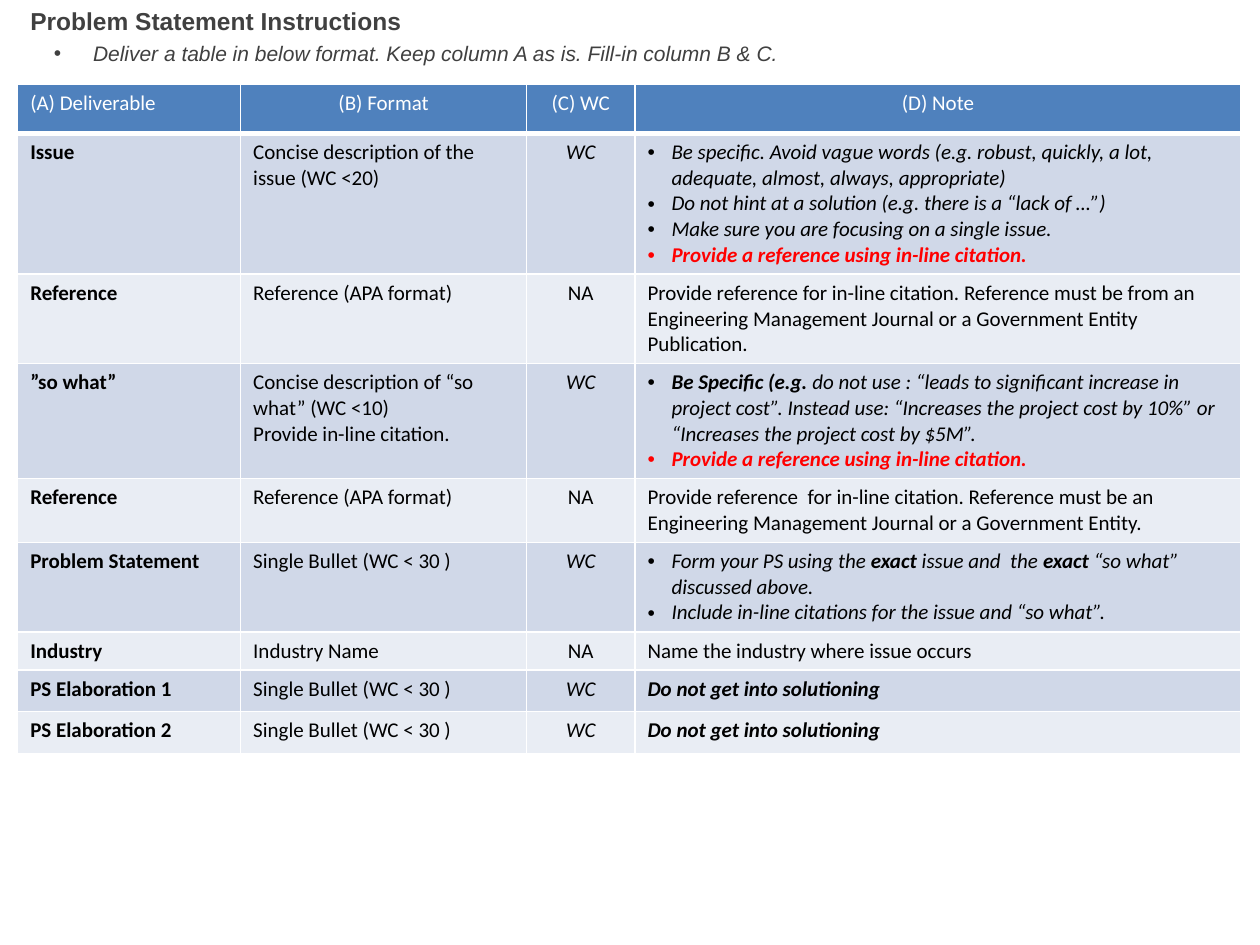
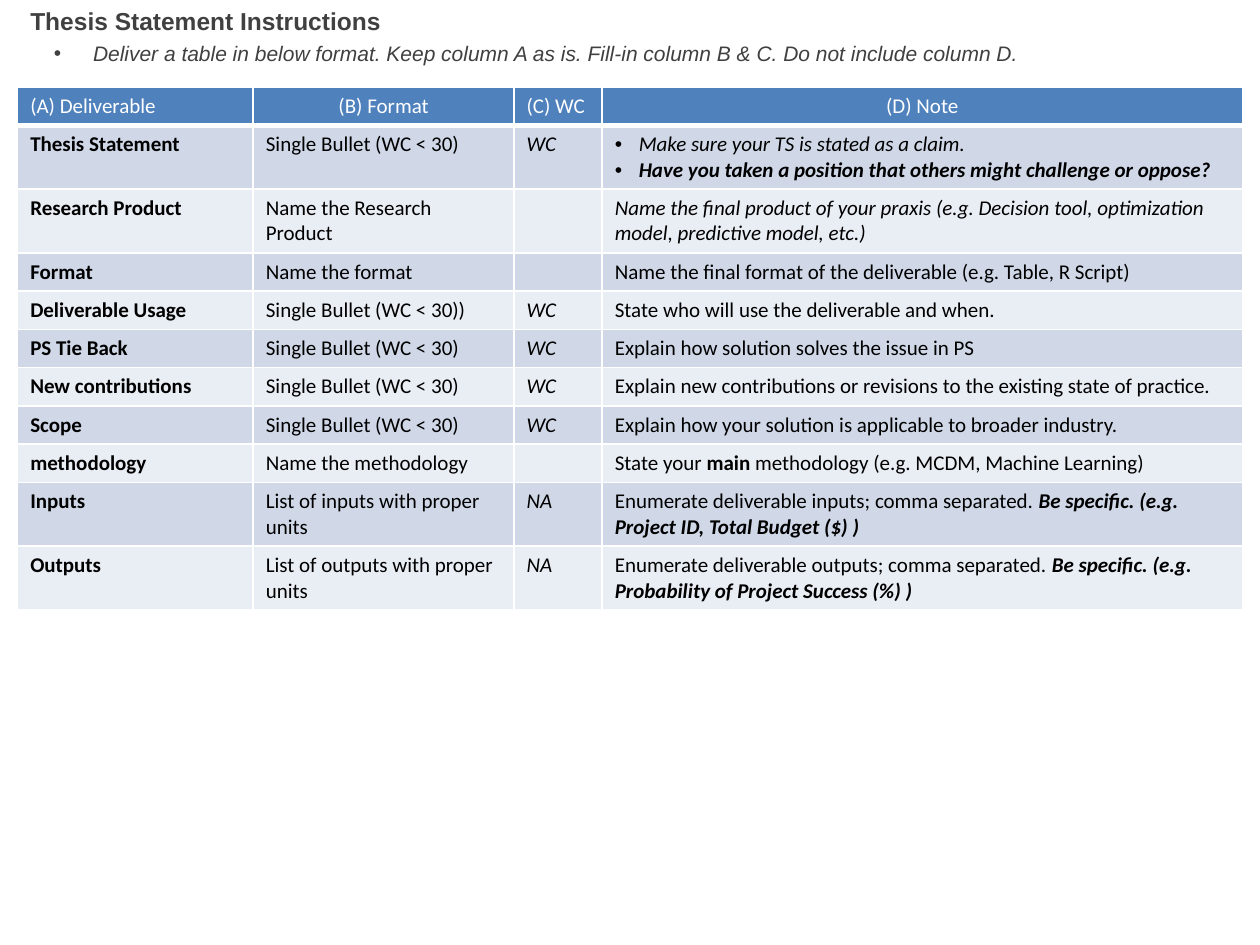
from dataclasses import dataclass

from lxml import etree
from pptx import Presentation
from pptx import util as u
from pptx.dml.color import RGBColor
from pptx.enum import text
from pptx.oxml.ns import qn


@dataclass(frozen=True)
class Theme:
    heading_font: str = "Arial"
    table_font: str = "Calibri"
    heading_size: int = 14
    body_size: int = 12
    heading: str = "404040"
    ink: str = "000000"
    alert: str = "FF0000"
    header: str = "4F81BD"
    white: str = "FFFFFF"
    bands: tuple = ("D0D8E8", "E9EDF4")
    grid_line: int = 1
    header_line: int = 3


@dataclass(frozen=True)
class Line:
    runs: tuple
    bullet: bool = False
    color: str = Theme.ink


def line(words, style="", **options):
    return Line(((words, style),), **options)


def point(words, style="i", **options):
    return line(words, style, bullet=True, **options)


CITE = point("Provide a reference using in-line citation.", "bi", color=Theme.alert)
NO_SOLUTION = line("Do not get into solutioning", "bi")
WC, NA, NA_ITALIC = line("WC", "i"), line("NA"), line("NA", "i")
HEADERS = ("(A) Deliverable", "(B) Format", "(C) WC", "(D) Note")
LEFT, CENTER = text.PP_ALIGN.LEFT, text.PP_ALIGN.CENTER

SLIDES = [
    dict(
        title="Problem Statement Instructions",
        task="Deliver a table in below format. Keep column A as is. Fill-in column B & C.",
        top=0.67,
        columns=(1.77, 2.27, 0.86, 4.81),
        count_align=CENTER,
        text_lines=(1, 5, 3, 4, 2, 3, 1, 1, 1),
        min_heights={0: 0.39, 7: 0.33, 8: 0.33},
        rows=[
            ("Issue", ["Concise description of the issue (WC <20)"], WC, [
                point("Be specific. Avoid vague words (e.g. robust, quickly, a lot, "
                      "adequate, almost, always, appropriate)"),
                point("Do not hint at a solution (e.g. there is a “lack of …”)"),
                point("Make sure you are focusing on a single issue."),
                CITE]),
            ("Reference", ["Reference (APA format)"], NA, [
                line("Provide reference for in-line citation. Reference must be from an "
                     "Engineering Management Journal or a Government Entity Publication.")]),
            ("”so what”", ["Concise description of “so what” (WC <10)",
                           "Provide in-line citation."], WC, [
                Line((("Be Specific (e.g. ", "bi"),
                      ("do not use : “leads to significant increase in project cost”. "
                       "Instead use: “Increases the project cost by 10%” or "
                       "“Increases the project cost by $5M”.", "i")), bullet=True),
                CITE]),
            ("Reference", ["Reference (APA format)"], NA, [
                line("Provide reference  for in-line citation. Reference must be an "
                     "Engineering Management Journal or a Government Entity.")]),
            ("Problem Statement", ["Single Bullet (WC < 30 )"], WC, [
                Line((("Form your PS using the ", "i"), ("exact", "bi"),
                      (" issue and  the ", "i"), ("exact", "bi"),
                      (" “so what” discussed above.", "i")), bullet=True),
                point("Include in-line citations for the issue and “so what”.")]),
            ("Industry", ["Industry Name"], NA, [line("Name the industry where issue occurs")]),
            ("PS Elaboration 1", ["Single Bullet (WC < 30 )"], WC, [NO_SOLUTION]),
            ("PS Elaboration 2", ["Single Bullet (WC < 30 )"], WC, [NO_SOLUTION]),
        ],
    ),
    dict(
        title="Thesis Statement Instructions",
        task="Deliver a table in below format. Keep column A as is. Fill-in column B & C. "
             "Do not include column D.",
        top=0.69,
        columns=(1.87, 2.07, 0.7, 5.08),
        count_align=LEFT,
        text_lines=(1, 2, 2, 1, 1, 1, 1, 1, 1, 2, 2),
        min_heights={},
        rows=[
            ("Thesis Statement", ["Single Bullet (WC < 30)"], WC, [
                point("Make sure your TS is stated as a claim."),
                point("Have you taken a position that others might challenge or oppose?", "bi")]),
            ("Research Product", ["Name the Research Product"], None, [
                line("Name the final product of your praxis (e.g. Decision tool, "
                     "optimization model, predictive model, etc.)", "i")]),
            ("Format", ["Name the format"], None, [
                line("Name the final format of the deliverable (e.g. Table, R Script)")]),
            ("Deliverable Usage", ["Single Bullet (WC < 30))"], WC, [
                line("State who will use the deliverable and when.")]),
            ("PS Tie Back", ["Single Bullet (WC < 30)"], WC, [
                line("Explain how solution solves the issue in PS")]),
            ("New contributions", ["Single Bullet (WC < 30)"], WC, [
                line("Explain new contributions or revisions to the existing state of practice.")]),
            ("Scope", ["Single Bullet (WC < 30)"], WC, [
                line("Explain how your solution is applicable to broader industry.")]),
            ("methodology", ["Name the methodology"], None, [
                Line((("State your ", ""), ("main", "b"),
                      (" methodology (e.g. MCDM, Machine Learning)", "")))]),
            ("Inputs", ["List of inputs with proper units"], NA_ITALIC, [
                Line((("Enumerate deliverable inputs; comma separated. ", ""),
                      ("Be specific. (e.g. Project ID, Total Budget ($) )", "bi")))]),
            ("Outputs", ["List of outputs with proper units"], NA_ITALIC, [
                Line((("Enumerate deliverable outputs; comma separated. ", ""),
                      ("Be specific. (e.g. Probability of Project Success (%) )", "bi")))]),
        ],
    ),
]

MARGIN, HEADING_WIDTH = 0.14, 8.48
ROW_PADDING, LINE_HEIGHT = 0.1, 0.2
NOTE_INDENT, TASK_INDENT = 0.19, 0.31


def add_bullet(paragraph, indent, color):
    props = paragraph._p.get_or_add_pPr()
    props.set("marL", str(u.Inches(indent)))
    props.set("indent", str(-u.Inches(indent)))
    tint = etree.SubElement(props, qn("a:buClr"))
    etree.SubElement(tint, qn("a:srgbClr"), val=color)
    etree.SubElement(props, qn("a:buFont"), typeface="Arial")
    etree.SubElement(props, qn("a:buChar"), char="•")


def set_style(font, style):
    font.bold, font.italic = "b" in style, "i" in style


def set_font(font, name, size, color):
    font.name, font.size = name, u.Pt(size)
    font.color.rgb = RGBColor.from_string(color)


def write(paragraph, content, name, size, indent=NOTE_INDENT):
    if content.bullet:
        add_bullet(paragraph, indent, content.color)
    set_font(paragraph.font, name, size, content.color)
    for words, style in content.runs:
        run = paragraph.add_run()
        run.text = words
        if len(content.runs) > 1:
            set_style(run.font, style)
    if len(content.runs) == 1:
        set_style(paragraph.font, content.runs[0][1])


def set_borders(cell, theme, bottom):
    props = cell._tc.get_or_add_tcPr()
    widths = dict(lnL=theme.grid_line, lnR=theme.grid_line, lnT=theme.grid_line, lnB=bottom)
    for place, (side, width) in enumerate(widths.items()):
        border = etree.Element(qn(f"a:{side}"), w=str(u.Pt(width)))
        fill = etree.SubElement(border, qn("a:solidFill"))
        etree.SubElement(fill, qn("a:srgbClr"), val=theme.white)
        props.insert(place, border)


def fill_cell(cell, lines, align, fill, bottom, theme):
    cell.fill.solid()
    cell.fill.fore_color.rgb = RGBColor.from_string(fill)
    set_borders(cell, theme, bottom)
    frame = cell.text_frame
    for index, content in enumerate(lines):
        paragraph = frame.add_paragraph() if index else frame.paragraphs[0]
        paragraph.alignment = align
        write(paragraph, content, theme.table_font, theme.body_size)
    if not lines:
        etree.SubElement(frame.paragraphs[0]._p, qn("a:endParaRPr"),
                         sz=str(theme.body_size * 100))


def add_headings(slide, page, theme):
    title = slide.shapes.title
    title.left, title.top = u.Inches(MARGIN), 0
    title.width, title.height = u.Inches(HEADING_WIDTH), u.Inches(0.68)
    task = slide.shapes.add_textbox(u.Inches(0.33), u.Inches(0.27),
                                    u.Inches(HEADING_WIDTH), u.Inches(0.27))
    headings = (
        (title, line(page["title"], "b", color=theme.heading), theme.heading_size),
        (task, point(page["task"], color=theme.heading), theme.body_size),
    )
    for box, content, size in headings:
        frame = box.text_frame
        frame.word_wrap = True
        frame.auto_size = text.MSO_AUTO_SIZE.NONE
        frame.vertical_anchor = text.MSO_ANCHOR.TOP
        frame.paragraphs[0].alignment = LEFT
        write(frame.paragraphs[0], content, theme.heading_font, size, TASK_INDENT)


def add_deliverables(slide, page, theme):
    heights = [page["min_heights"].get(index, ROW_PADDING + LINE_HEIGHT * count)
               for index, count in enumerate(page["text_lines"])]
    grid = slide.shapes.add_table(
        len(heights), len(HEADERS), u.Inches(MARGIN), u.Inches(page["top"]),
        u.Inches(sum(page["columns"])), u.Inches(sum(heights))).table
    grid.horz_banding = False
    for column, width in zip(grid.columns, page["columns"]):
        column.width = u.Inches(width)
    for row, height in zip(grid.rows, heights):
        row.height = u.Inches(height)

    count_align = page["count_align"]
    header_aligns = (LEFT, CENTER, count_align, CENTER)
    for column, (label, align) in enumerate(zip(HEADERS, header_aligns)):
        fill_cell(grid.cell(0, column), [line(label, color=theme.white)], align,
                  theme.header, theme.header_line, theme)

    body_aligns = (LEFT, LEFT, count_align, LEFT)
    for index, (deliverable, formats, count, notes) in enumerate(page["rows"]):
        cells = ([line(deliverable, "b")], [line(words) for words in formats],
                 [count] if count else [], notes)
        for column, (lines, align) in enumerate(zip(cells, body_aligns)):
            fill_cell(grid.cell(index + 1, column), lines, align,
                      theme.bands[index % 2], theme.grid_line, theme)


def main():
    theme = Theme()
    deck = Presentation()
    deck.slide_width, deck.slide_height = u.Inches(10), u.Inches(7.5)
    for page in SLIDES:
        slide = deck.slides.add_slide(deck.slide_layouts[5])
        add_deliverables(slide, page, theme)
        add_headings(slide, page, theme)
    deck.save("out.pptx")


if __name__ == "__main__":
    main()
